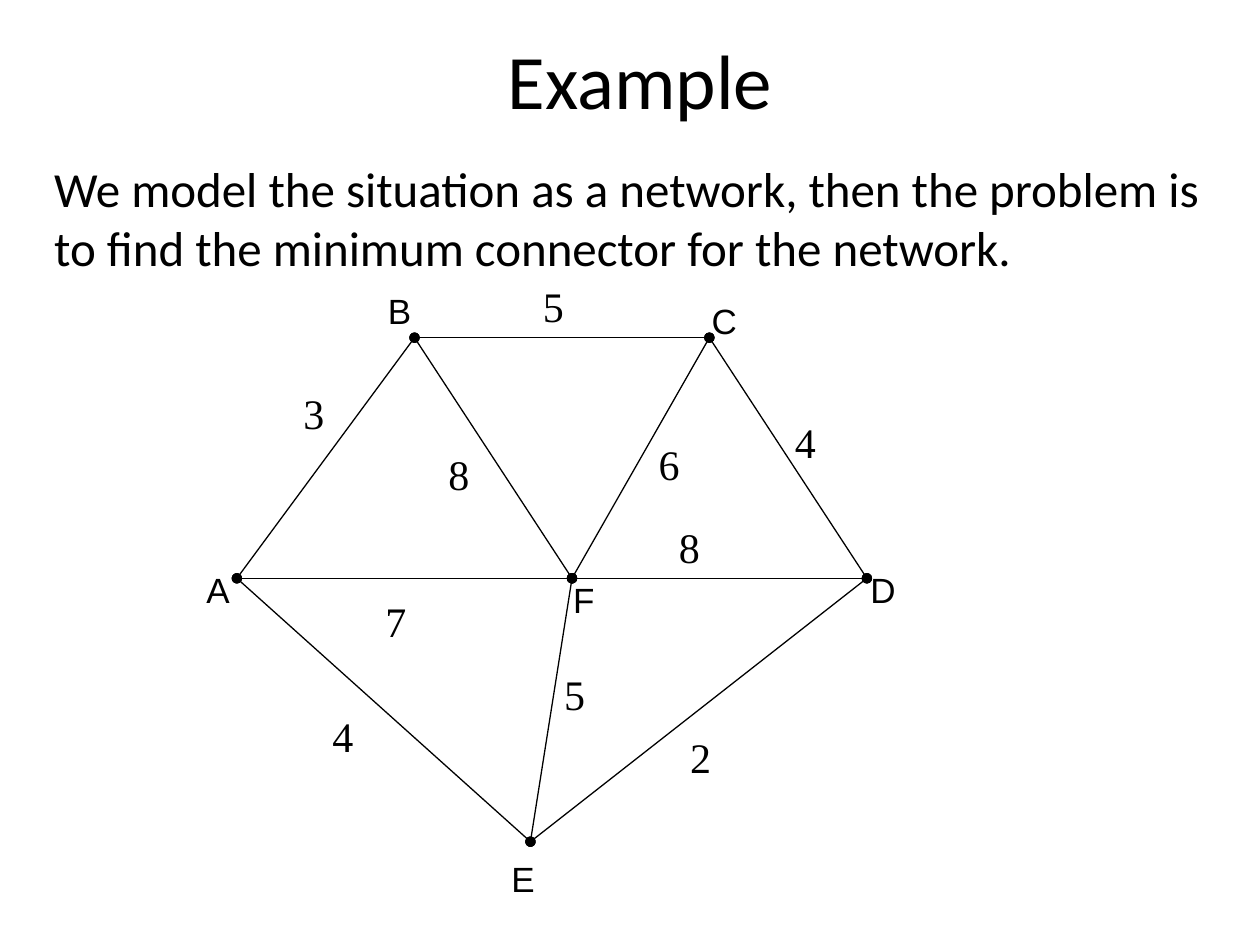
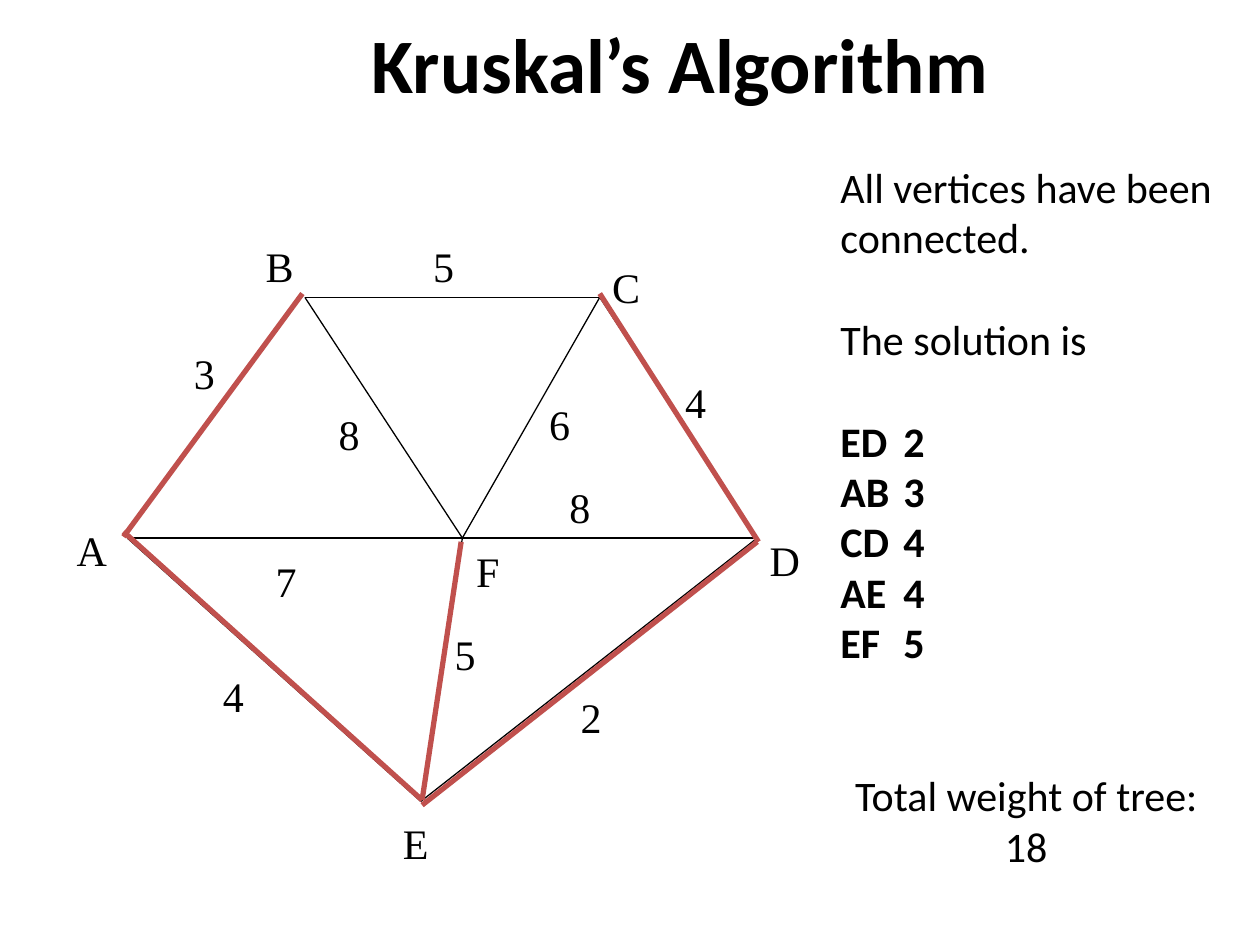
from lxml import etree
from pptx import Presentation
from pptx.dml.color import RGBColor
from pptx.enum.shapes import MSO_CONNECTOR
from pptx.enum.text import MSO_ANCHOR, MSO_AUTO_SIZE, PP_ALIGN
from pptx.oxml.ns import qn
from pptx.util import Inches, Pt

STRAIGHT = MSO_CONNECTOR.STRAIGHT
LEFT, CENTER = PP_ALIGN.LEFT, PP_ALIGN.CENTER
TOP, MIDDLE = MSO_ANCHOR.TOP, MSO_ANCHOR.MIDDLE
NO_AUTOFIT = MSO_AUTO_SIZE.NONE

COLORS = {"ink": "000000", "tree": "C0504D"}
BODY_FONT, LABEL_FONT, WEIGHT_FONT = "Calibri", "Arial", "Times New Roman"
LINE_24 = 29.3  # height in points of one 24 pt line

# The network: vertex places, and weight with label place for each edge
VERTICES = {"A": (1.88, 4.59), "B": (3.29, 2.68), "C": (5.63, 2.68),
            "D": (6.88, 4.59), "E": (4.21, 6.68), "F": (4.54, 4.59)}
EDGES = {
    "AB": (3, 2.31, 3.03), "BC": (5, 4.21, 2.18), "CD": (4, 6.21, 3.26),
    "AF": (7, 2.96, 4.68), "FD": (8, 5.29, 4.09), "BF": (8, 3.46, 3.51),
    "FC": (6, 5.13, 3.43), "AE": (4, 2.54, 5.59), "EF": (5, 4.38, 5.26),
    "ED": (2, 5.38, 5.76),
}

# Vertex names beside the network on each slide
MODEL_LABELS = {"A": (1.54, 4.46), "B": (2.98, 2.25), "C": (5.55, 2.33),
                "D": (6.81, 4.46), "E": (3.96, 6.76), "F": (4.45, 4.54)}
SOLUTION_LABELS = {"A": (0.51, 4.11), "B": (2.01, 1.86), "C": (4.76, 2.03),
                   "D": (6.01, 4.19), "E": (3.1, 6.44), "F": (3.68, 4.28)}
SOLUTION_SHIFT = (-0.87, -0.32)

# Highlighted edges in the order Kruskal's algorithm picks them
TREE = {
    "ED": ((3.35, 6.39), (6.01, 4.3)),
    "AB": ((0.98, 4.26), (2.4, 2.33)),
    "CD": ((4.76, 2.33), (6.02, 4.3)),
    "AE": ((0.98, 4.22), (3.35, 6.35)),
    "EF": ((3.35, 6.35), (3.66, 4.3)),
}


def write(p, text, font=BODY_FONT, size=24, bold=False, color="ink",
          align=LEFT, before=0, tab=None):
    """Fill one paragraph with plain, bullet-free text."""
    pPr = p._p.get_or_add_pPr()
    pPr.set("marL", "0")
    pPr.set("indent", "0")
    p.alignment = align
    p.space_before = Pt(before)
    etree.SubElement(pPr, qn("a:buNone"))
    if tab:
        tabs = etree.SubElement(pPr, qn("a:tabLst"))
        etree.SubElement(tabs, qn("a:tab"), pos=str(Inches(tab)), algn="l")
    r = p.add_run()
    r.text = text
    r.font.name, r.font.size, r.font.bold = font, Pt(size), bold
    r.font.color.rgb = RGBColor.from_string(COLORS[color])


def place(sp, x, y, w, h, anchor=TOP):
    """Position a text shape and return its text frame."""
    sp.left, sp.top, sp.width, sp.height = map(Inches, (x, y, w, h))
    tf = sp.text_frame
    tf.word_wrap = True
    tf.auto_size = NO_AUTOFIT
    tf.vertical_anchor = anchor
    return tf


def add_slide(prs, title, title_box, bold=False):
    s = prs.slides.add_slide(prs.slide_layouts[1])
    tf = place(s.shapes.title, *title_box, anchor=MIDDLE)
    write(tf.paragraphs[0], title, size=44, bold=bold, align=CENTER)
    return s


def add_body(s, box, paragraphs):
    """Fill the body placeholder from (text, format) pairs."""
    tf = place(s.placeholders[1], *box)
    for i, (text, style) in enumerate(paragraphs):
        p = tf.add_paragraph() if i else tf.paragraphs[0]
        write(p, text, **style)


def add_label(shapes, text, x, y, font=WEIGHT_FONT, size=24):
    sp = shapes.add_textbox(0, 0, 0, 0)
    tf = place(sp, x, y, 0.5, 0.5)
    write(tf.paragraphs[0], text, font=font, size=size)


def add_line(shapes, start, end, color="ink", width=0.75, dots=False):
    c = shapes.add_connector(STRAIGHT, *map(Inches, (*start, *end)))
    c.line.color.rgb = RGBColor.from_string(COLORS[color])
    c.line.width = Pt(width)
    if dots:
        ln = c.line._get_or_add_ln()
        for tag in ("a:headEnd", "a:tailEnd"):
            etree.SubElement(ln, qn(tag), type="oval")
    etree.SubElement(c._element.spPr, qn("a:effectLst"))


def add_network(s, labels, shift=(0, 0), skip=(), dots=False, **label_style):
    """Draw the weighted network and return its group's shapes."""
    def moved(x, y):
        return x + shift[0], y + shift[1]

    shapes = s.shapes.add_group_shape().shapes
    for edge in EDGES:
        if edge not in skip:
            start, end = (moved(*VERTICES[v]) for v in edge)
            add_line(shapes, start, end, dots=dots)
    for name, (x, y) in labels.items():
        add_label(shapes, name, x, y, **label_style)
    for weight, x, y in EDGES.values():
        add_label(shapes, str(weight), *moved(x, y))
    return shapes


def build_model_slide(prs):
    s = add_slide(prs, "Example", (0.58, 0, 9, 1.25))
    text = ("We model the situation as a network, then the problem is "
            "to find the minimum connector for the network.")
    add_body(s, (0.33, 1.21, 9.42, 1.04), [(text, {"size": 28})])
    add_network(s, MODEL_LABELS, dots=True, font=LABEL_FONT, size=20)


def build_solution_slide(prs):
    s = add_slide(prs, "Kruskal’s Algorithm", (1.46, 0.08, 7.88, 0.84), bold=True)

    # Solution text with the chosen edges
    chosen = [(f"{edge}\t{EDGES[edge][0]}",
               {"bold": True, "tab": 0.54, "before": 0 if i else LINE_24})
              for i, edge in enumerate(TREE)]
    add_body(s, (6.57, 1.23, 3.15, 6.16), [
        ("All vertices have been connected.", {}),
        ("The solution is", {"before": LINE_24}),
        *chosen,
        ("Total weight of tree: 18", {"align": CENTER, "before": 2 * LINE_24}),
    ])

    # Network with the minimum spanning tree on top
    shapes = add_network(s, SOLUTION_LABELS, SOLUTION_SHIFT, skip=("AB",))
    for start, end in TREE.values():
        add_line(shapes, start, end, color="tree", width=3)


def main():
    prs = Presentation()
    prs.slide_width, prs.slide_height = Inches(10), Inches(7.5)
    build_model_slide(prs)
    build_solution_slide(prs)
    prs.save("out.pptx")


if __name__ == "__main__":
    main()
